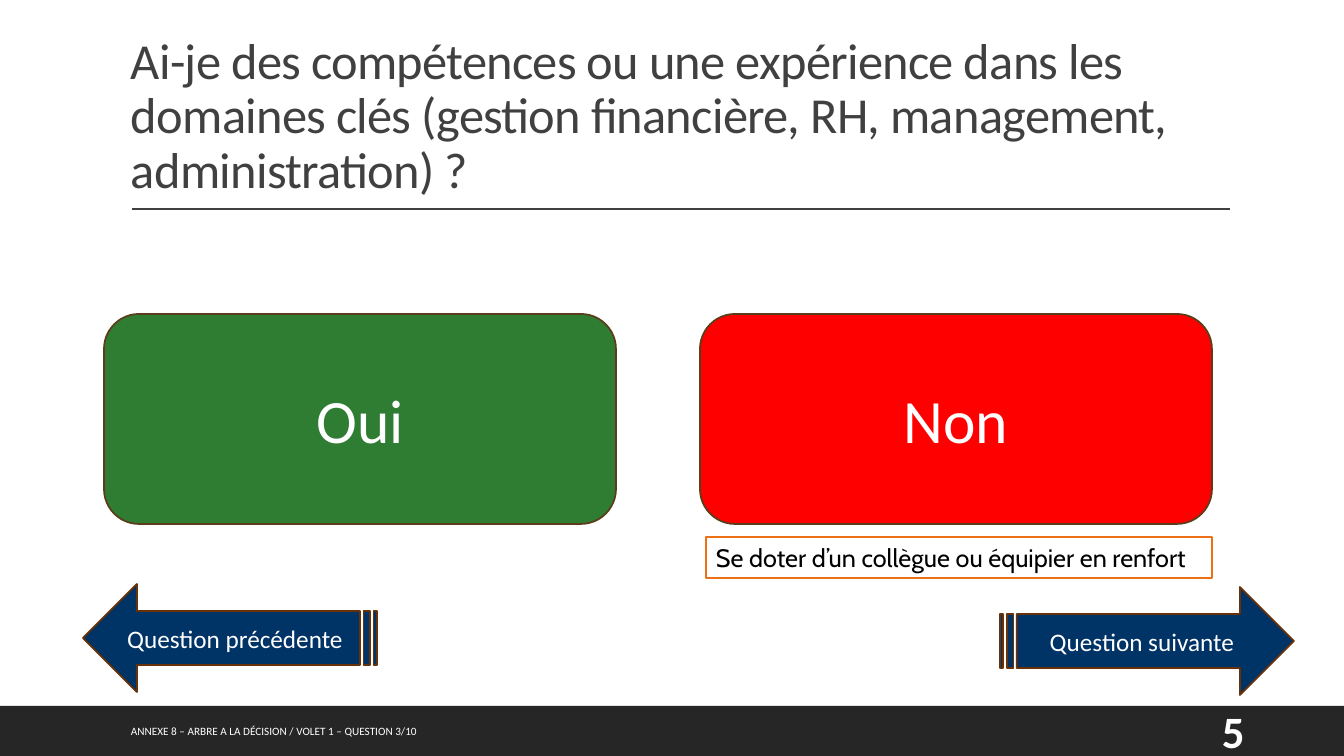
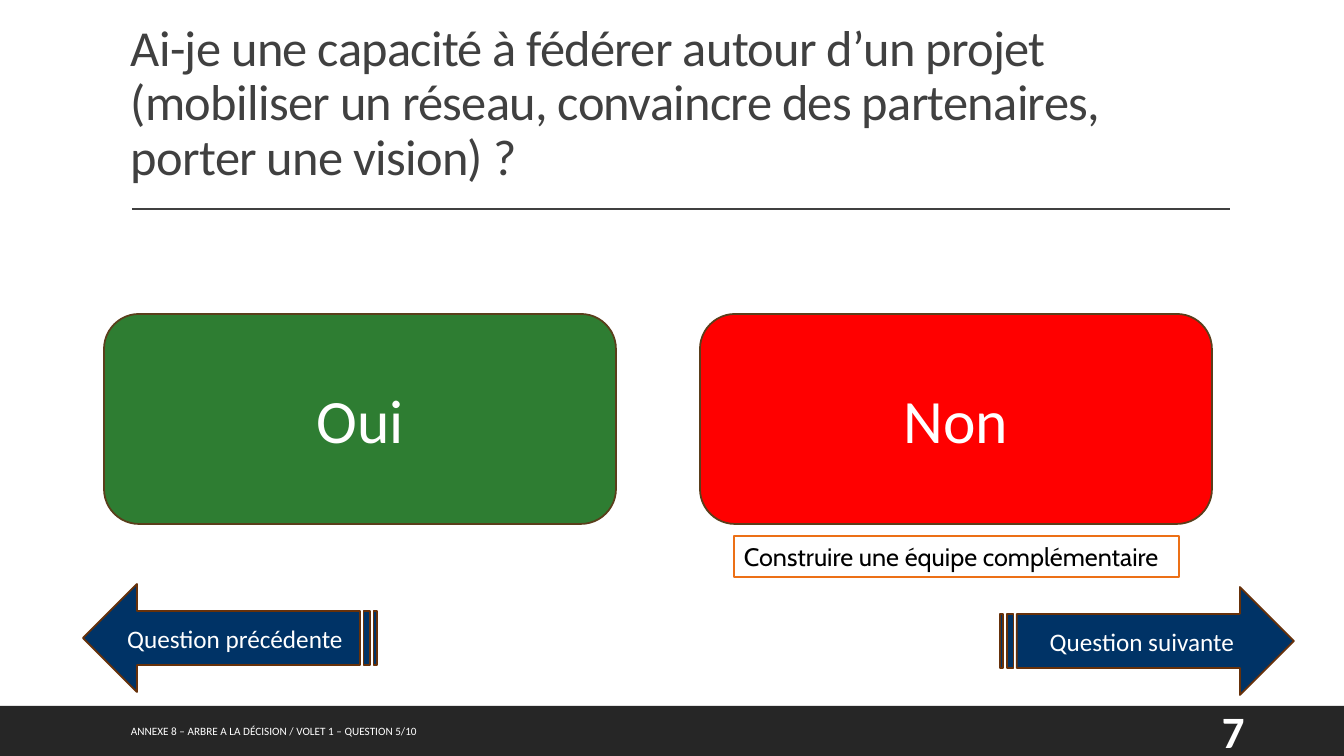
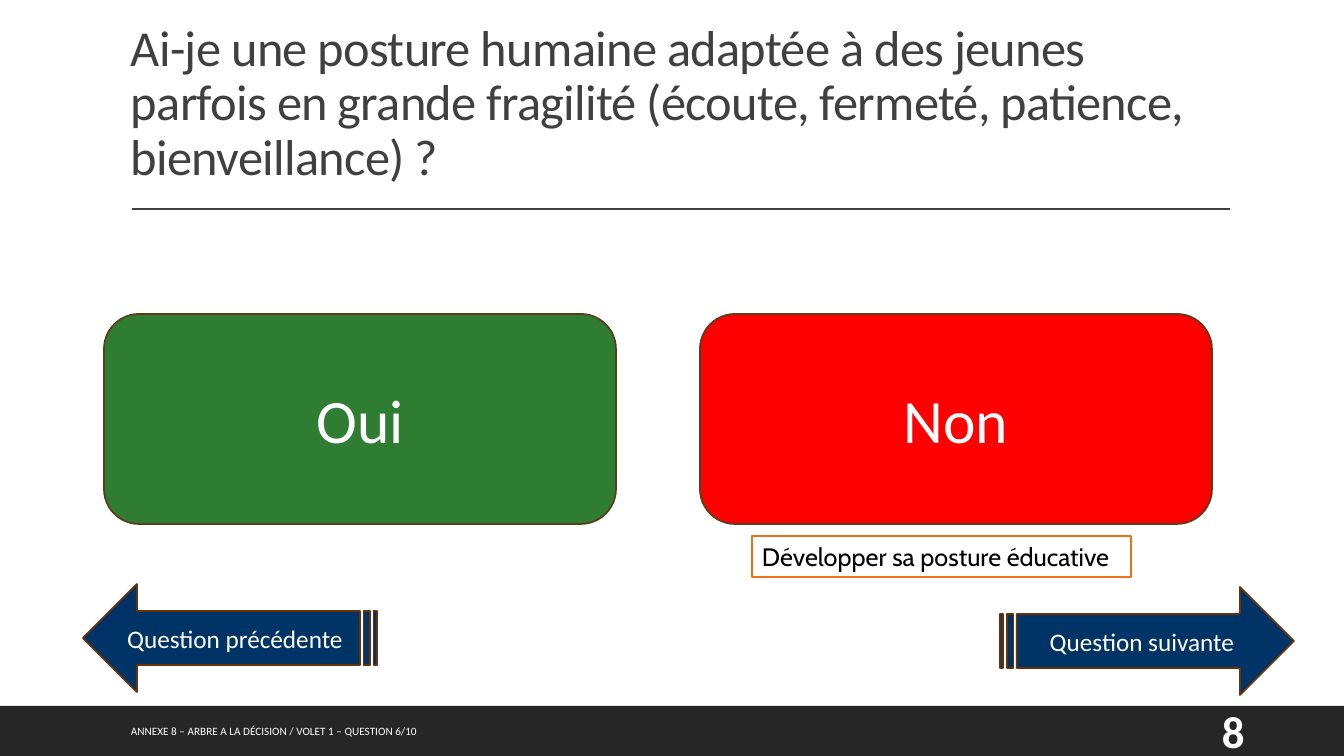
"""Three yes/no question slides from a decision tree."""
from dataclasses import dataclass

from pptx import Presentation, util as u
from pptx.dml.color import RGBColor
from pptx.enum import shapes, text
from pptx.oxml.ns import qn
from lxml import etree

EMU_PER_PX = 914400 / 100.8
SLIDE_W, SLIDE_H = 1344, 756

QUESTIONS = [
    {"title": "Ai-je des compétences ou une expérience dans les domaines clés "
              "(gestion financière, RH, management, administration) ?",
     "title_box": (121, 44, 1185, 160),
     "advice": "Se doter d’un collègue ou équipier en renfort",
     "advice_box": (706, 537, 506, 41), "number": 3, "page": 5},
    {"title": "Ai-je une capacité à fédérer autour d’un projet "
              "(mobiliser un réseau, convaincre des partenaires, porter une vision) ?",
     "title_box": (121, 31, 1109, 160),
     "advice": "Construire une équipe complémentaire",
     "advice_box": (734, 536, 445, 41), "number": 5, "page": 7},
    {"title": "Ai-je une posture humaine adaptée à des jeunes parfois en grande fragilité "
              "(écoute, fermeté, patience, bienveillance) ?",
     "title_box": (121, 31, 1109, 160),
     "advice": "Développer sa posture éducative",
     "advice_box": (752, 536, 379, 41), "number": 6, "page": 8},
]
FOOTER = "ANNEXE 8 – ARBRE A LA DÉCISION / VOLET 1 – QUESTION {}/10"
ANSWERS = [("Oui", "2E7D32", 104), ("Non", "FF0000", 700)]
ARROWS = [("Question suivante", 1000, 587, False), ("Question précédente", 83, 584, True)]


@dataclass(frozen=True)
class Theme:
    font: str = "Calibri"
    advice_font: str = "Cabin"
    white: str = "FFFFFF"
    black: str = "000000"
    ink: str = "404040"
    band: str = "262626"
    orange: str = "EC7016"
    brown: str = "5A3E1B"
    rust: str = "67310A"
    navy: str = "003366"
    title_size: int = 36
    answer_size: int = 44
    page_size: int = 32
    body_size: int = 18
    footer_size: int = 8
    outline: float = 1.25


THEME = Theme()
ALIGN, ANCHOR, SHAPE = text.PP_ALIGN, text.MSO_ANCHOR, shapes.MSO_SHAPE


def px(*lengths):
    return [u.Emu(round(length * EMU_PER_PX)) for length in lengths]


def write(part, words, size, color, font=THEME.font, align=ALIGN.LEFT,
          anchor=ANCHOR.MIDDLE, bold=False):
    frame = part.text_frame
    frame.word_wrap = True
    frame.vertical_anchor = anchor
    frame.text = words
    paragraph = frame.paragraphs[0]
    paragraph.alignment = align
    style = paragraph.runs[0].font
    style.name, style.size, style.bold = font, u.Pt(size), bold
    style.color.rgb = RGBColor.from_string(color)
    return paragraph


def add_block(slide, preset, box, fill, outline=None):
    block = slide.shapes.add_shape(preset, *px(*box))
    block.shadow.inherit = False
    block.fill.solid()
    block.fill.fore_color.rgb = RGBColor.from_string(fill)
    if outline:
        block.line.color.rgb = RGBColor.from_string(outline)
        block.line.width = u.Pt(THEME.outline)
    else:
        block.line.fill.background()
    return block


def add_frame(slide):
    add_block(slide, SHAPE.RECTANGLE, (0, 706, SLIDE_W, 50), THEME.band)
    rule = slide.shapes.add_connector(shapes.MSO_CONNECTOR.STRAIGHT, *px(132, 209, 1230, 209))
    rule.line.color.rgb = RGBColor.from_string(THEME.ink)
    rule.line.width = u.Pt(1)
    etree.SubElement(rule.element.spPr, qn("a:effectLst"))


def add_title(slide, words, box):
    title = slide.shapes.add_textbox(*px(*box))
    paragraph = write(title, words, THEME.title_size, THEME.ink, anchor=ANCHOR.BOTTOM)
    paragraph.line_spacing = 0.9
    paragraph.runs[0].font._element.set("spc", "-50")


def add_advice(slide, words, box):
    advice = add_block(slide, SHAPE.RECTANGLE, box, THEME.white, THEME.orange)
    write(advice, words, THEME.body_size, THEME.black, THEME.advice_font, anchor=ANCHOR.TOP)


def add_answers(slide):
    for words, fill, left in ANSWERS:
        answer = add_block(slide, SHAPE.ROUNDED_RECTANGLE, (left, 314, 512, 210), fill, THEME.brown)
        write(answer, words, THEME.answer_size, THEME.white, align=ALIGN.CENTER)


def add_arrows(slide):
    for words, left, top, flipped in ARROWS:
        arrow = add_block(slide, SHAPE.STRIPED_RIGHT_ARROW, (left, top, 294, 108),
                          THEME.navy, THEME.rust)
        if flipped:
            arrow.element.spPr.xfrm.set("flipH", "1")
        write(arrow, words, THEME.body_size, THEME.white, align=ALIGN.CENTER)


def add_footer(slide, number, page):
    footer = slide.shapes.add_textbox(*px(121, 711, 752, 40))
    write(footer, FOOTER.format(number), THEME.footer_size, THEME.white, align=ALIGN.JUSTIFY)
    page_number = slide.shapes.add_textbox(*px(1212, 711, 86, 40))
    write(page_number, str(page), THEME.page_size, THEME.white, bold=True)


def main():
    deck = Presentation()
    deck.slide_width, deck.slide_height = px(SLIDE_W, SLIDE_H)
    for question in QUESTIONS:
        slide = deck.slides.add_slide(deck.slide_layouts[6])
        add_frame(slide)
        add_title(slide, question["title"], question["title_box"])
        add_advice(slide, question["advice"], question["advice_box"])
        add_answers(slide)
        add_arrows(slide)
        add_footer(slide, question["number"], question["page"])
    deck.save("out.pptx")


if __name__ == "__main__":
    main()
